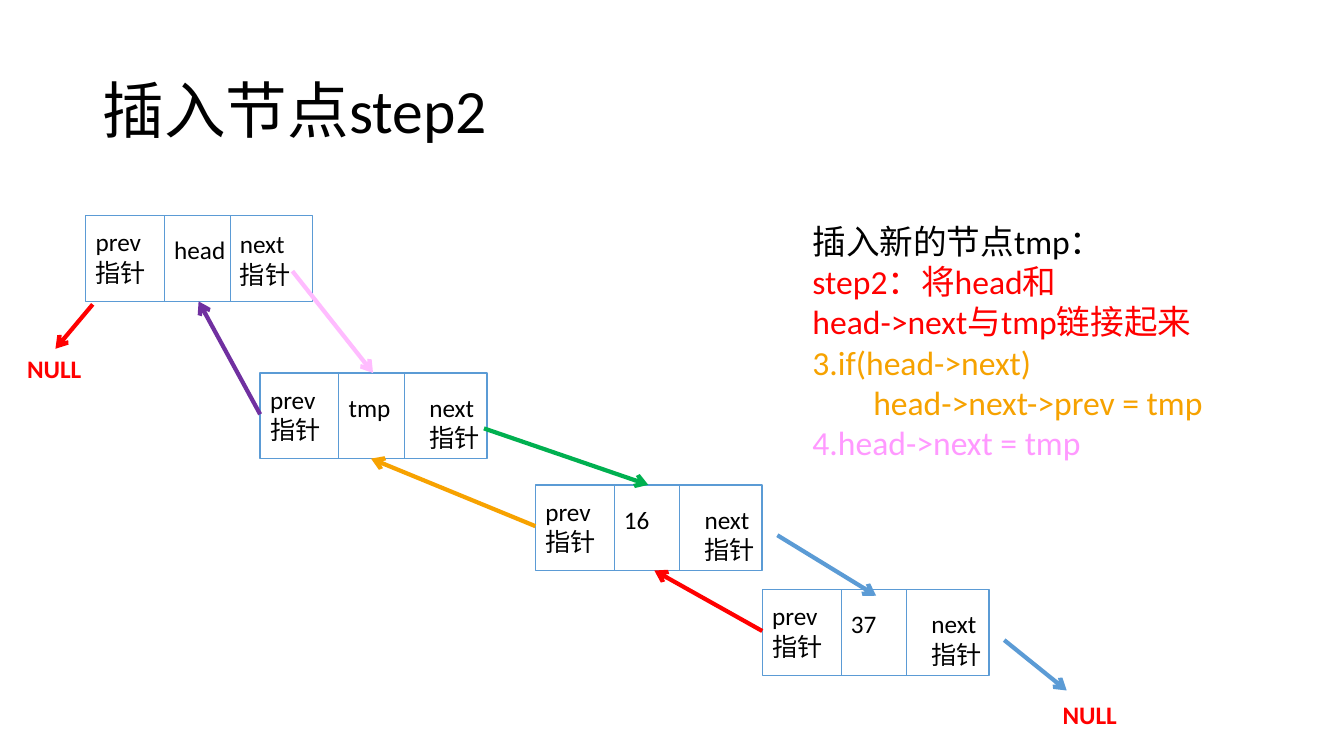
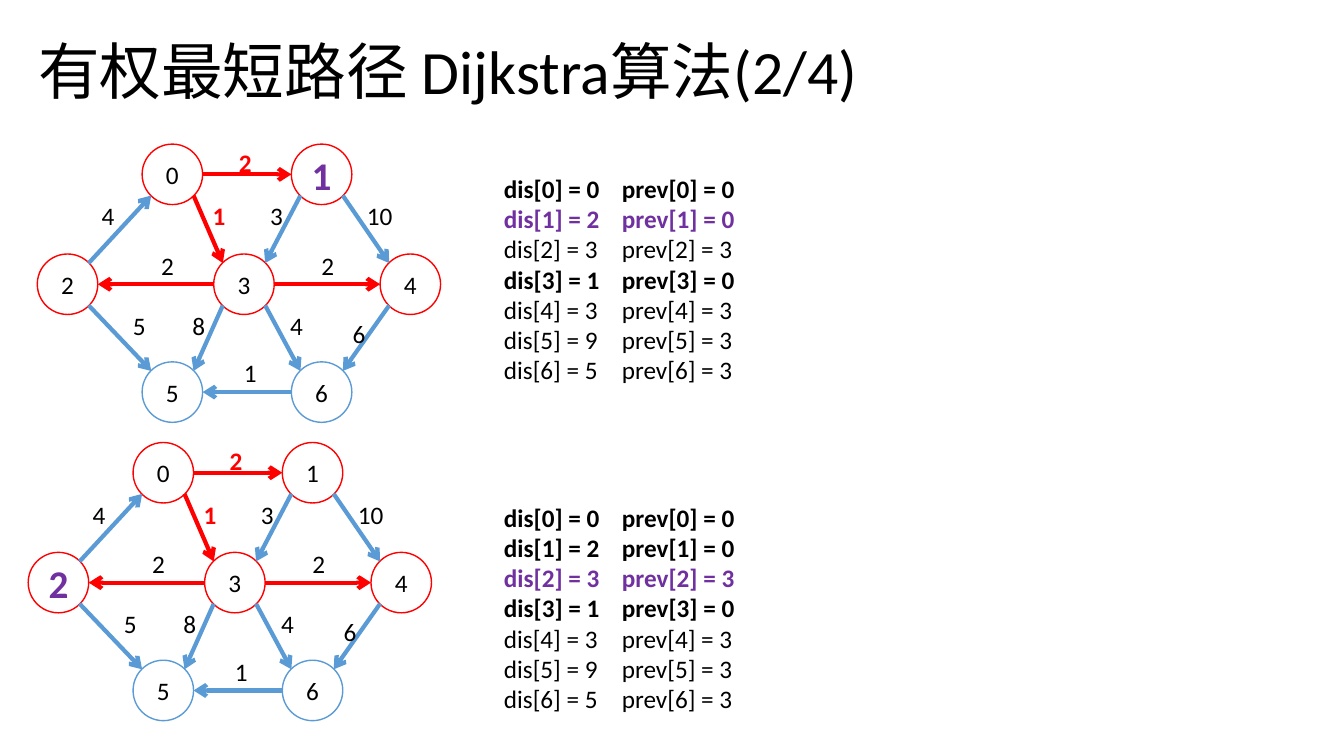
from pptx import Presentation
from pptx.dml.color import RGBColor
from pptx.enum.shapes import MSO_CONNECTOR, MSO_SHAPE as SHAPE
from pptx.enum.text import MSO_ANCHOR as ANCHOR, PP_ALIGN as ALIGN
from pptx.oxml.ns import qn
from pptx.util import Inches, Pt
from lxml.etree import SubElement

COLOURS = {
    "black": "000000", "white": "FFFFFF", "blue": "5B9BD5", "red": "FF0000",
    "purple": "7030A0", "green": "00B050", "orange": "F7A200",
    "amber": "F6A200", "pink": "FFBCFF", "magenta": "FF99FF",
}
FONT = "Calibri"


def add_text(shapes, left, top, width, height, lines, size=18, tab=None):
    """Add a text box; each line is (text, colour name, bold), tab is a stop in inches."""
    box = shapes.add_textbox(Inches(left), Inches(top), Inches(width), Inches(height))
    frame = box.text_frame
    frame.word_wrap = True
    for index, (text, colour, bold) in enumerate(lines):
        paragraph = frame.add_paragraph() if index else frame.paragraphs[0]
        paragraph.text = text
        if tab:
            stops = SubElement(paragraph._p.get_or_add_pPr(), qn("a:tabLst"))
            SubElement(stops, qn("a:tab"), pos=str(Inches(tab)), algn="l")
        font = paragraph.font
        font.name, font.size, font.bold = FONT, Pt(size), bold
        font.color.rgb = RGBColor.from_string(COLOURS[colour])
    return frame


def add_line(shapes, start, end, colour, width=3, arrow=True):
    line = shapes.add_connector(
        MSO_CONNECTOR.STRAIGHT, *(Inches(value) for value in (*start, *end)))
    line.line.color.rgb = RGBColor.from_string(COLOURS[colour])
    line.line.width = Pt(width)
    if arrow:
        SubElement(line.line._get_or_add_ln(), qn("a:tailEnd"), type="arrow")
    SubElement(line._element.spPr, qn("a:effectLst"))


presentation = Presentation()
presentation.slide_width = Inches(13.33)
presentation.slide_height = Inches(7.5)

slides = []
for title, left, top in [
    ("插入节点step2", 0.92, 0.4),
    ("有权最短路径 Dijkstra算法(2/4)", 0.28, 0.01),
]:
    slide = presentation.slides.add_slide(presentation.slide_layouts[6])
    frame = add_text(slide.shapes, left, top, 11.5, 1.45, [(title, "black", False)], 44)
    frame.vertical_anchor = ANCHOR.MIDDLE
    frame.paragraphs[0].line_spacing = 0.9
    slides.append(slide)
list_slide, graph_slide = slides

# Linked list: each node is a box with prev, value and next cells
NODE_WIDTH, NODE_HEIGHT = 2.25, 0.85
DIVIDERS = (0.78, 1.43)
list_nodes = [
    # left, top, value, offset of the next label
    (0.85, 2.14, "head", (1.43, 0.08)),
    (2.58, 3.7, "tmp", (1.58, 0.14)),
    (5.31, 4.81, "16", (1.58, 0.14)),
    (7.56, 5.85, "37", (1.58, 0.14)),
]
for left, top, value, (next_x, next_y) in list_nodes:
    shapes = list_slide.shapes.add_group_shape().shapes
    box = shapes.add_shape(SHAPE.RECTANGLE, Inches(left), Inches(top),
                           Inches(NODE_WIDTH), Inches(NODE_HEIGHT))
    box.shadow.inherit = False
    box.fill.solid()
    box.fill.fore_color.rgb = RGBColor.from_string(COLOURS["white"])
    box.line.color.rgb = RGBColor.from_string(COLOURS["blue"])
    box.line.width = Pt(1)
    for divider in DIVIDERS:
        x = left + divider
        add_line(shapes, (x, top), (x, top + NODE_HEIGHT), "blue", 0.5, arrow=False)
    for text, x, y, width, height in [
        (value, 0.78, 0.14, 0.8, 0.4),
        ("prev指针", 0, 0.06, 0.78, 0.71),
        ("next指针", next_x, next_y, 0.82, 0.71),
    ]:
        add_text(shapes, left + x, top + y, width, height, [(text, "black", False)])

for left, top in [(0.17, 3.46), (10.44, 6.89)]:
    add_text(list_slide.shapes, left, top, 0.8, 0.4, [("NULL", "red", True)])

for start, end, colour in [
    ((0.92, 3.02), (0.55, 3.46), "red"),
    ((2.9, 2.69), (3.7, 3.7), "pink"),
    ((2.58, 4.11), (1.97, 2.99), "purple"),
    ((4.8, 4.25), (6.43, 4.81), "green"),
    ((5.31, 5.22), (3.68, 4.55), "orange"),
    ((7.71, 5.31), (8.69, 5.91), "blue"),
    ((7.56, 6.26), (6.49, 5.66), "red"),
    ((9.96, 6.35), (10.58, 6.85), "blue"),
]:
    add_line(list_slide.shapes, start, end, colour)

add_text(list_slide.shapes, 7.96, 2.14, 4.59, 2.52, [
    ("插入新的节点tmp：", "black", False),
    ("step2：将head和", "red", False),
    ("head->next与tmp链接起来", "red", False),
    ("3.if(head->next)", "amber", False),
    ("        head->next->prev = tmp", "amber", False),
    ("4.head->next = tmp", "magenta", False),
], 24)

# Weighted graph, drawn once for each step of the algorithm
DIAMETER = 0.6
RADIUS = DIAMETER / 2
DIAGONAL = RADIUS * 0.7
centres = [(1.71, 1.73), (3.19, 1.73), (0.67, 2.82), (2.42, 2.82),
           (4.07, 2.82), (1.71, 3.89), (3.19, 3.89)]
unreached = {5, 6}
tree_edges = {(0, 1), (0, 3), (3, 2), (3, 4)}
edges = [
    # start, end, weight, left and top of the weight
    (0, 1, 2, 2.27, 1.41), (1, 4, 10, 3.54, 1.94), (1, 3, 3, 2.58, 1.94),
    (2, 0, 4, 0.91, 1.94), (0, 3, 1, 2.01, 1.94), (3, 2, 2, 1.5, 2.43),
    (3, 5, 8, 1.81, 3.03), (3, 6, 4, 2.78, 3.03), (6, 5, 1, 2.32, 3.5),
    (4, 6, 6, 3.4, 3.11), (3, 4, 2, 3.09, 2.43), (2, 5, 5, 1.22, 3.03),
]
distances = [0, 2, 3, 1, 3, 9, 5]
previous = [0, 0, 3, 0, 3, 3, 3]
steps = [
    # current node, settled nodes, graph offset, top of the table
    (1, {0, 1, 3}, (0, 0), 1.67),
    (2, {0, 1, 2, 3}, (-0.09, 2.96), 4.93),
]
for current, settled, (offset_x, offset_y), rows_top in steps:
    shapes = graph_slide.shapes.add_group_shape().shapes
    placed = [(x + offset_x, y + offset_y) for x, y in centres]
    for number, (x, y) in enumerate(placed):
        node = shapes.add_shape(SHAPE.OVAL, Inches(x - RADIUS), Inches(y - RADIUS),
                                Inches(DIAMETER), Inches(DIAMETER))
        node.shadow.inherit = False
        node.fill.solid()
        node.fill.fore_color.rgb = RGBColor.from_string(COLOURS["white"])
        outline = "blue" if number in unreached else "red"
        node.line.color.rgb = RGBColor.from_string(COLOURS[outline])
        node.line.width = Pt(1)
        node.text_frame.vertical_anchor = ANCHOR.MIDDLE
        paragraph = node.text_frame.paragraphs[0]
        paragraph.text = str(number)
        paragraph.alignment = ALIGN.CENTER
        active = number == current
        font = paragraph.font
        font.name, font.size, font.bold = FONT, Pt(28 if active else 18), active
        font.color.rgb = RGBColor.from_string(COLOURS["purple" if active else "black"])

    for start, end, weight, label_x, label_y in edges:
        (x1, y1), (x2, y2) = placed[start], placed[end]
        side = 1 if x2 > x1 else -1
        level = (y2 > y1) - (y2 < y1)
        reach_x = side * (DIAGONAL if level else RADIUS)
        reach_y = level * DIAGONAL
        add_line(shapes, (x1 + reach_x, y1 + reach_y), (x2 - reach_x, y2 - reach_y),
                 "red" if (start, end) in tree_edges else "blue")
        from_source = start == 0
        add_text(shapes, label_x + offset_x, label_y + offset_y, 0.55, 0.4,
                 [(str(weight), "red" if from_source else "black", from_source)])

    rows = [
        (f"dis[{number}] = {distance}\tprev[{number}] = {parent}",
         "purple" if number == current else "black", number in settled)
        for number, (distance, parent) in enumerate(zip(distances, previous))
    ]
    add_text(graph_slide.shapes, 4.9, rows_top, 2.63, 2.22, rows, tab=1.17)

presentation.save("out.pptx")
